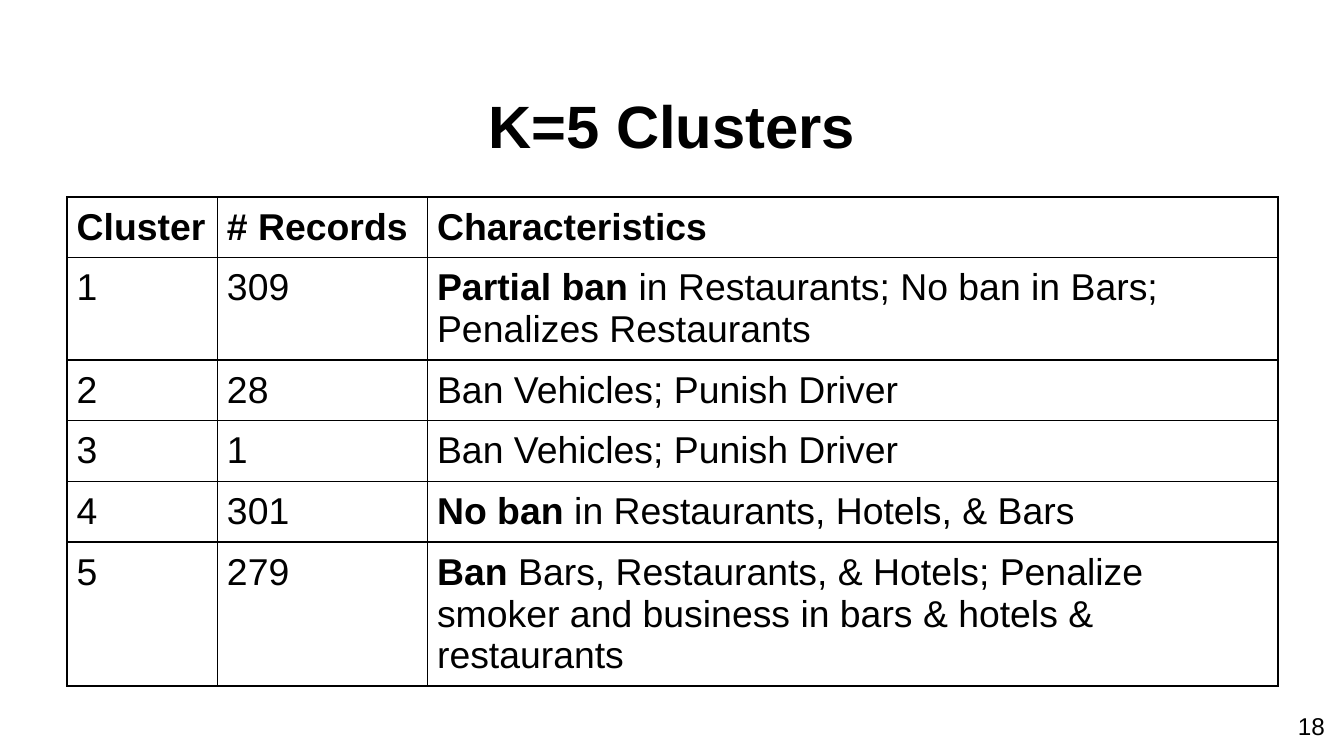
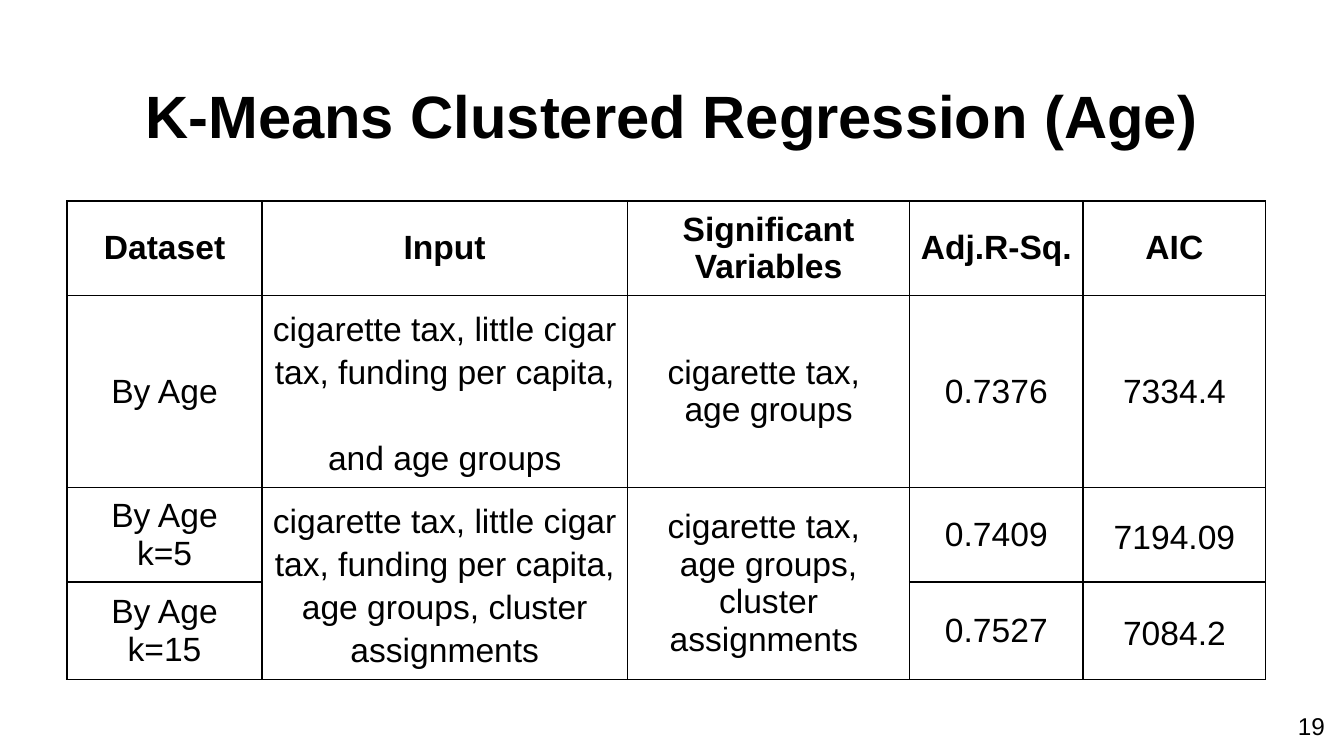
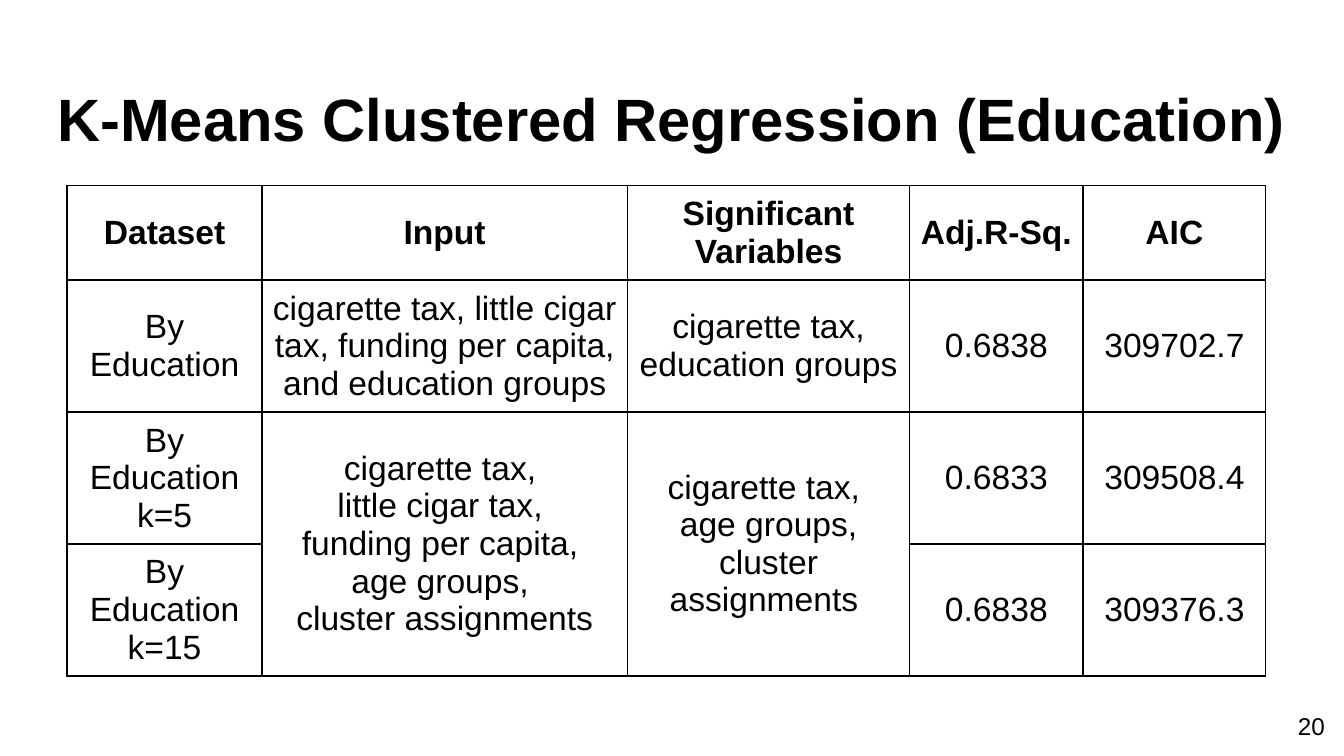
from dataclasses import dataclass

from lxml.etree import SubElement
from pptx import Presentation
from pptx.dml.color import RGBColor
from pptx.enum.text import MSO_ANCHOR, MSO_AUTO_SIZE, PP_ALIGN
from pptx.oxml.ns import qn
from pptx.util import Cm, Pt


@dataclass(frozen=True)
class Theme:
    font: str = "Arial"
    ink: str = "000000"
    paper: str = "FFFFFF"
    title: int = 32
    large: int = 20
    table: int = 18
    number: int = 13
    rule: int = 1
    inset: float = 0.25
    pad: float = 0.18
    left: float = 1.27


class Deck:
    def __init__(self, theme, first):
        self.theme = theme
        self.number = first
        self.prs = Presentation()
        self.prs.slide_width, self.prs.slide_height = Cm(25.4), Cm(14.29)
        self.slide = None

    def style(self, para, size, bold=False, align=PP_ALIGN.LEFT):
        para.alignment = align
        for part in (para, *para.runs):
            font = part.font
            font.name, font.size = self.theme.font, Pt(size)
            font.color.rgb = RGBColor.from_string(self.theme.ink)
            font.bold = bold

    def frame(self, shape, anchor):
        frame = shape.text_frame
        frame.word_wrap = True
        frame.auto_size = MSO_AUTO_SIZE.NONE
        frame.vertical_anchor = anchor
        frame.margin_left = frame.margin_right = Cm(self.theme.inset)
        frame.margin_top = frame.margin_bottom = Cm(self.theme.inset)
        return frame

    # Slide with its title and page number
    def page(self, title, left, top, width, height):
        self.slide = self.prs.slides.add_slide(self.prs.slide_layouts[5])
        fill = self.slide.background.fill
        fill.solid()
        fill.fore_color.rgb = RGBColor.from_string(self.theme.paper)
        head = self.slide.shapes.title
        head.left, head.top = Cm(left), Cm(top)
        head.width, head.height = Cm(width), Cm(height)
        para = self.frame(head, MSO_ANCHOR.BOTTOM).paragraphs[0]
        para.text = title
        self.style(para, self.theme.title, True, PP_ALIGN.CENTER)
        self.footer()

    def footer(self):
        box = self.slide.shapes.add_textbox(Cm(23.77), Cm(13.18), Cm(1.52), Cm(1.09))
        para = self.frame(box, MSO_ANCHOR.MIDDLE).paragraphs[0]
        para.text = str(self.number)
        self.style(para, self.theme.number, align=PP_ALIGN.RIGHT)
        self.number += 1

    def border(self, cell):
        props = cell._tc.get_or_add_tcPr()
        for side in ("lnL", "lnR", "lnT", "lnB"):
            line = SubElement(props, qn(f"a:{side}"), w=str(Pt(self.theme.rule)))
            fill = SubElement(line, qn("a:solidFill"))
            SubElement(fill, qn("a:srgbClr"), val=self.theme.ink)

    # A cell is text, or a (bold lead, rest) pair; "\n" parts paragraphs, "\v" lines
    def label(self, cell, text, size, bold, align):
        frame = cell.text_frame
        lead, rest = text if isinstance(text, tuple) else ("", text)
        frame.text = rest if not lead else ""
        if lead:
            for part in (lead, rest):
                frame.paragraphs[0].add_run().text = part
        for para in frame.paragraphs:
            self.style(para, size, bold, align)
        if lead:
            frame.paragraphs[0].runs[0].font.bold = True

    def table(self, top, cols, highs, rows, size, align=PP_ALIGN.LEFT,
              anchor=MSO_ANCHOR.TOP, spans=(), loose=()):
        shape = self.slide.shapes.add_table(
            len(rows), len(cols), Cm(self.theme.left), Cm(top),
            Cm(sum(cols)), Cm(sum(highs)))
        grid = shape.table
        grid.first_row = grid.horz_banding = False
        for col, width in zip(grid.columns, cols):
            col.width = Cm(width)
        for row, high in zip(grid.rows, highs):
            row.height = Cm(high)
        for r, row in enumerate(rows):
            for c, text in enumerate(row):
                cell = grid.cell(r, c)
                self.border(cell)
                cell.fill.background()
                cell.vertical_anchor = anchor
                cell.margin_left = cell.margin_right = Cm(self.theme.pad)
                cell.margin_top = cell.margin_bottom = Cm(self.theme.pad)
                if text is not None:
                    self.label(cell, text, size, r == 0, align)
                if (r, c) in loose:
                    cell.text_frame.paragraphs[0].line_spacing = 1.15
        for start, end in spans:
            grid.cell(*start).merge(grid.cell(*end))

    # Regression results: the last two rows share their input and variables
    def model(self, top, highs, rows, loose=()):
        heads = ("Dataset", "Input", "Significant Variables", "Adj.R-Sq.", "AIC")
        self.table(top, (3.68, 6.91, 5.33, 3.28, 3.45), highs, (heads, *rows),
                   self.theme.table, PP_ALIGN.CENTER, MSO_ANCHOR.MIDDLE,
                   [((2, c), (3, c)) for c in (1, 2)], loose)


def main():
    deck = Deck(Theme(), first=18)
    shared = "cigarette tax, \vage groups, cluster assignments "

    # Cluster overview
    deck.page("K=5 Clusters", 1.27, 1.22, 22.86, 2.06)
    driver = "Ban Vehicles; Punish Driver"
    deck.table(3.72, (2.84, 3.97, 16.07), (1.14, 1.93, 1.14, 1.14, 1.14, 2.72), (
        ("Cluster", "# Records", "Characteristics"),
        ("1", "309", ("Partial ban",
                      " in Restaurants; No ban in Bars; Penalizes Restaurants")),
        ("2", "28", driver),
        ("3", "1", driver),
        ("4", "301", ("No ban ", "in Restaurants, Hotels, & Bars")),
        ("5", "279", ("Ban", " Bars, Restaurants, & Hotels; Penalize smoker and "
                      "business in bars & hotels & restaurants")),
    ), deck.theme.large)

    # Regression by age
    deck.page("K-Means Clustered Regression (Age)", 1.27, 0.99, 22.86, 2.11)
    deck.model(3.8, (1.78, 3.63, 1.78, 1.83), (
        ("By Age",
         "cigarette tax, little cigar tax, funding per capita, \vand age groups",
         "cigarette tax, \vage groups", "0.7376", "7334.4"),
        ("By Age\nk=5",
         "cigarette tax, little cigar tax, funding per capita, age groups, "
         "cluster assignments", shared, "0.7409", "7194.09"),
        ("By Age\nk=15", None, None, "0.7527", "7084.2"),
    ), {(1, 1), (2, 1), (2, 4), (3, 4)})

    # Regression by education
    deck.page("K-Means Clustered Regression (Education)", 0, 0.99, 25.4, 2.16)
    deck.model(3.51, (1.78, 2.49, 2.49, 2.49), (
        ("By Education",
         "cigarette tax, little cigar tax, funding per capita, and education groups",
         "cigarette tax, education groups", "0.6838", "309702.7"),
        ("By Education\nk=5",
         "cigarette tax, \vlittle cigar tax, \vfunding per capita, \vage groups, "
         "\vcluster assignments", shared, "0.6833", "309508.4"),
        ("By Education\nk=15", None, None, "0.6838", "309376.3"),
    ))

    deck.prs.save("out.pptx")


if __name__ == "__main__":
    main()
